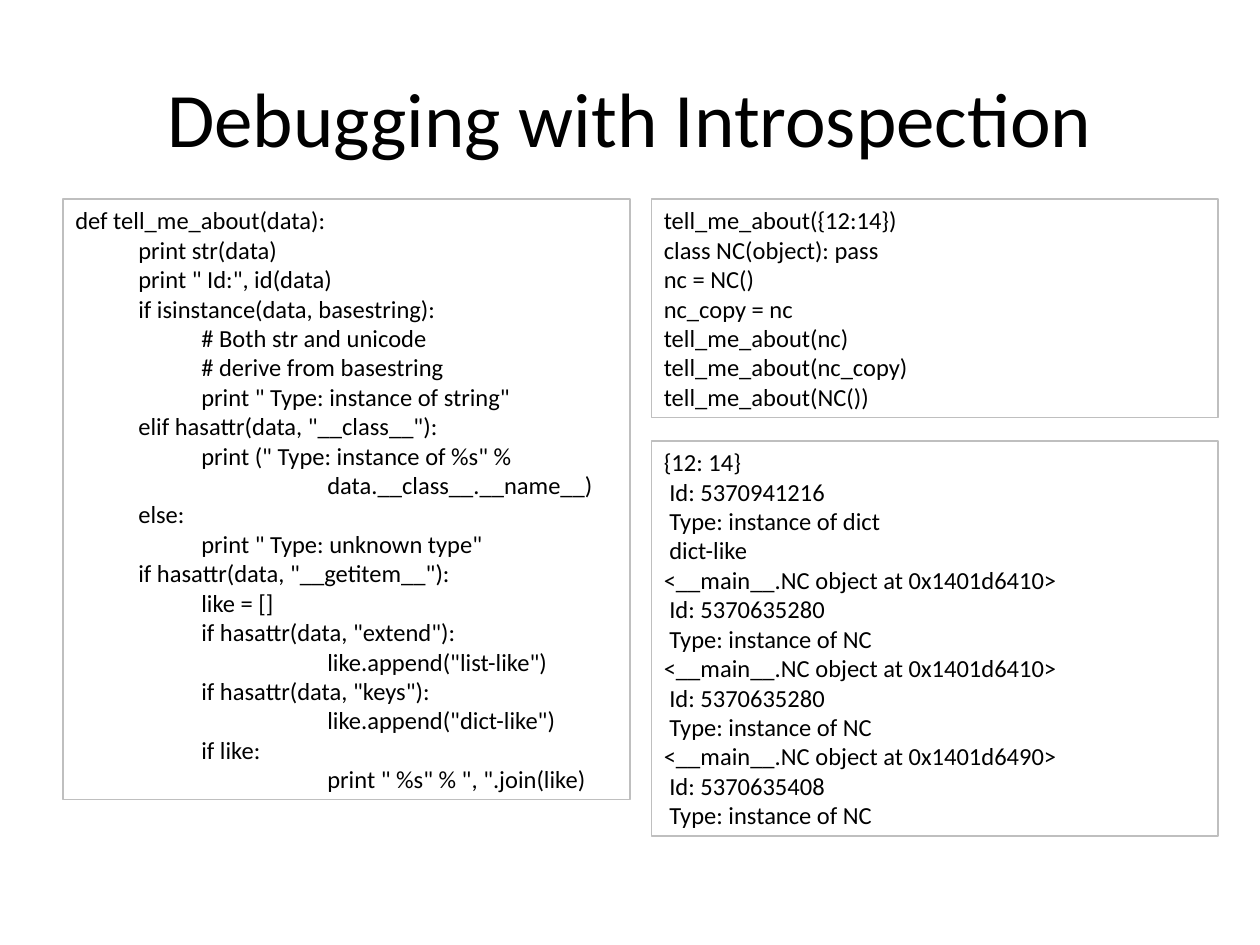
from lxml.etree import SubElement
from pptx import Presentation
from pptx.dml.color import RGBColor
from pptx.enum.shapes import MSO_SHAPE
from pptx.enum.text import MSO_ANCHOR, MSO_AUTO_SIZE, PP_ALIGN
from pptx.oxml.ns import qn
from pptx.util import Inches, Pt

BLACK = RGBColor(0x00, 0x00, 0x00)
GRAY = RGBColor(0xBF, 0xBF, 0xBF)
FONT = "Calibri"
LEFT_COLUMN, RIGHT_COLUMN = 0.5, 5.17
COLUMN_WIDTH = 4.5
TOP_ROW, OUTPUT_ROW = 1.58, 3.5
LINE_HEIGHT = 14 * 1.2 / 72
INSET = 0.05
INDENT = " " * 4
TAB_STOPS = (0.5, 1, 2, 3, 4, 5, 6)

FUNCTION_CODE = '''
def tell_me_about(data):
    print str(data)
    print " Id:", id(data)
    if isinstance(data, basestring):
        # Both str and unicode
        # derive from basestring
        print " Type: instance of string"
    elif hasattr(data, "__class__"):
        print (" Type: instance of %s" %
            data.__class__.__name__)
    else:
        print " Type: unknown type"
    if hasattr(data, "__getitem__"):
        like = []
        if hasattr(data, "extend"):
            like.append("list-like")
        if hasattr(data, "keys"):
            like.append("dict-like")
        if like:
            print " %s" % ", ".join(like)
'''

CALLS_CODE = '''
tell_me_about({12:14})
class NC(object): pass
nc = NC()
nc_copy = nc
tell_me_about(nc)
tell_me_about(nc_copy)
tell_me_about(NC())
'''

OUTPUT = '''
{12: 14}
 Id: 5370941216
 Type: instance of dict
 dict-like
<__main__.NC object at 0x1401d6410>
 Id: 5370635280
 Type: instance of NC
<__main__.NC object at 0x1401d6410>
 Id: 5370635280
 Type: instance of NC
<__main__.NC object at 0x1401d6490>
 Id: 5370635408
 Type: instance of NC
'''


def format_paragraph(paragraph, size, alignment):
    paragraph.alignment = alignment
    paragraph.font.name = FONT
    paragraph.font.size = Pt(size)
    paragraph.font.color.rgb = BLACK


def add_tab_stops(paragraph):
    tab_list = SubElement(paragraph._p.get_or_add_pPr(), qn("a:tabLst"))
    for stop in TAB_STOPS:
        SubElement(tab_list, qn("a:tab"), pos=str(Inches(stop)), algn="l")


def set_title(slide, text):
    title = slide.shapes.title
    title.left, title.top = Inches(0.5), Inches(0.3)
    title.width, title.height = Inches(9), Inches(1.25)
    title.text_frame.text = text
    title.text_frame.vertical_anchor = MSO_ANCHOR.MIDDLE
    format_paragraph(title.text_frame.paragraphs[0], 44, PP_ALIGN.CENTER)


def add_code_box(slide, left, top, code):
    lines = code.strip("\n").replace(INDENT, "\t").split("\n")
    height = 2 * INSET + len(lines) * LINE_HEIGHT
    box = slide.shapes.add_shape(
        MSO_SHAPE.RECTANGLE, Inches(left), Inches(top),
        Inches(COLUMN_WIDTH), Inches(height))
    box.shadow.inherit = False
    box.fill.background()
    box.line.color.rgb = GRAY
    box.line.width = Pt(1)
    frame = box.text_frame
    frame.word_wrap = True
    frame.auto_size = MSO_AUTO_SIZE.SHAPE_TO_FIT_TEXT
    frame.vertical_anchor = MSO_ANCHOR.TOP
    frame.margin_left = frame.margin_right = Inches(0.1)
    frame.margin_top = frame.margin_bottom = Inches(INSET)
    frame.text = "\n".join(lines)
    for paragraph in frame.paragraphs:
        add_tab_stops(paragraph)
        format_paragraph(paragraph, 14, PP_ALIGN.LEFT)


def main():
    presentation = Presentation()
    presentation.slide_width = Inches(10)
    presentation.slide_height = Inches(7.5)
    slide = presentation.slides.add_slide(presentation.slide_layouts[5])
    set_title(slide, "Debugging with Introspection")
    add_code_box(slide, RIGHT_COLUMN, TOP_ROW, CALLS_CODE)
    add_code_box(slide, LEFT_COLUMN, TOP_ROW, FUNCTION_CODE)
    add_code_box(slide, RIGHT_COLUMN, OUTPUT_ROW, OUTPUT)
    presentation.save("out.pptx")


if __name__ == "__main__":
    main()
